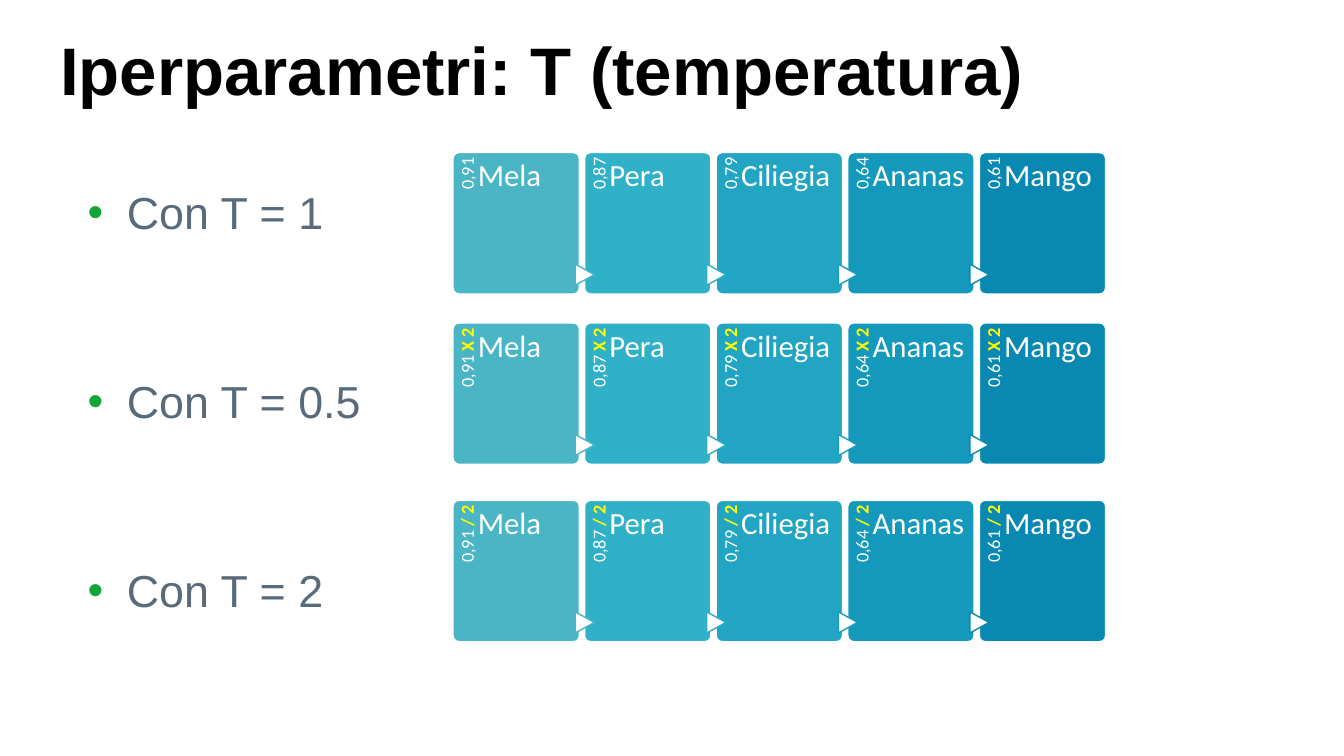
from dataclasses import dataclass

import pptx
import pptx.dml.color
import pptx.enum.shapes
import pptx.enum.text
import pptx.util
from lxml import etree
from pptx.util import Inches

SHAPE = pptx.enum.shapes.MSO_SHAPE
ALIGN = pptx.enum.text.PP_ALIGN
ANCHOR = pptx.enum.text.MSO_ANCHOR
DRAWING_NS = "{http://schemas.openxmlformats.org/drawingml/2006/main}"


@dataclass(frozen=True)
class Theme:
    heading_font: str = "Arial"
    card_font: str = "Calibri"
    title_size: int = 48
    bullet_size: int = 32
    fruit_size: int = 22
    score_size: int = 13
    black: str = "000000"
    white: str = "FFFFFF"
    slate: str = "596B7B"
    green: str = "13A538"
    yellow: str = "FFFF00"


THEME = Theme()

# Fruit, score, card colour, outline of the arrow leading to the card
FRUITS = [
    ("Mela", "0,91", "4AB5C4", None),
    ("Pera", "0,87", "31B1C8", "4AB5C4"),
    ("Ciliegia", "0,79", "22A5C2", "2CADC6"),
    ("Ananas", "0,64", "1498BB", "189DBE"),
    ("Mango", "0,61", "0989B1", "0989B1"),
]
# Bullet, factor applied to the scores, top of the card row
TEMPERATURES = [
    ("Con T = 1", "", 1.51),
    ("Con T = 0.5", "X 2", 3.2),
    ("Con T = 2", "/ 2", 4.96),
]
ROW_LEFT, CARD_PITCH = 4.49, 1.305
CARD_WIDTH, CARD_HEIGHT = 1.26, 1.41


def rgb(colour):
    return pptx.dml.color.RGBColor.from_string(colour)


def style(font, name, size, colour, bold=False):
    font.name = name
    font.size = pptx.util.Pt(size)
    font.color.rgb = rgb(colour)
    font.bold = bold


def add_text_area(shapes, left, top, width, height, insets=(0.1, 0.05, 0.1, 0.05)):
    """Add a wrapping text box; insets run left, top, right, bottom."""
    area = shapes.add_textbox(Inches(left), Inches(top), Inches(width), Inches(height))
    frame = area.text_frame
    frame.word_wrap = True
    frame.margin_left, frame.margin_top, frame.margin_right, frame.margin_bottom = map(Inches, insets)
    return area


def add_outlined(shapes, kind, left, top, width, height, fill, line, line_width):
    outlined = shapes.add_shape(kind, Inches(left), Inches(top), Inches(width), Inches(height))
    outlined.shadow.inherit = False
    outlined.fill.solid()
    outlined.fill.fore_color.rgb = rgb(fill)
    outlined.line.color.rgb = rgb(line)
    outlined.line.width = pptx.util.Pt(line_width)
    return outlined


def add_title(shapes, text):
    frame = add_text_area(shapes, 0.5, 0.49, 12.35, 0.65).text_frame
    frame.vertical_anchor = ANCHOR.MIDDLE
    title = frame.paragraphs[0]
    title.text = text
    title.line_spacing = pptx.util.Pt(38)
    style(title.font, THEME.heading_font, THEME.title_size, THEME.black, bold=True)


def add_bullet_mark(paragraph):
    properties = paragraph._p.get_or_add_pPr()
    properties.set("marL", str(Inches(0.39)))
    properties.set("indent", str(Inches(-0.39)))
    colour = etree.SubElement(properties, DRAWING_NS + "buClr")
    etree.SubElement(colour, DRAWING_NS + "srgbClr", val=THEME.green)
    etree.SubElement(properties, DRAWING_NS + "buFont", typeface=THEME.heading_font)
    etree.SubElement(properties, DRAWING_NS + "buChar", char="•")


def add_bullets(shapes, labels):
    frame = add_text_area(shapes, 0.77, 1.8, 11.5, 4.5, (0.1, 0.09, 0.1, 0.05)).text_frame
    for index, label in enumerate(labels):
        bullet = frame.add_paragraph() if index else frame.paragraphs[0]
        bullet.text = label
        add_bullet_mark(bullet)
        bullet.line_spacing = 0.9
        if index:
            bullet.space_before = pptx.util.Pt(100.5)
        style(bullet.font, THEME.heading_font, THEME.bullet_size, THEME.slate)


def add_score(shapes, left, top, score, factor):
    """Add the score that reads upwards, followed by its factor in yellow."""
    area = add_text_area(shapes, left, top, 1.16, 0.25, (0, 0.05, 0.06, 0))
    area.rotation = 270
    paragraph = area.text_frame.paragraphs[0]
    paragraph.alignment = ALIGN.RIGHT
    paragraph.line_spacing = 0.9
    style(paragraph.font, THEME.card_font, THEME.score_size, THEME.white)
    paragraph.add_run().text = f"{score} " if factor else score
    if factor:
        emphasis = paragraph.add_run()
        emphasis.text = factor
        emphasis.font.bold = True
        emphasis.font.color.rgb = rgb(THEME.yellow)


def add_fruit_name(shapes, left, top, name):
    area = add_text_area(shapes, left, top, 0.94, CARD_HEIGHT, (0, 0.08, 0, 0))
    paragraph = area.text_frame.paragraphs[0]
    paragraph.text = name
    paragraph.line_spacing = 0.9
    style(paragraph.font, THEME.card_font, THEME.fruit_size, THEME.white)


def add_fruit_row(shapes, top, factor):
    row = shapes.add_group_shape().shapes
    for index, (name, score, colour, arrow_line) in enumerate(FRUITS):
        left = ROW_LEFT + index * CARD_PITCH
        card = add_outlined(row, SHAPE.ROUNDED_RECTANGLE, left, top,
                            CARD_WIDTH, CARD_HEIGHT, colour, THEME.white, 1.5)
        card.adjustments[0] = 0.05
        add_score(row, left - 0.45, top + 0.45, score, factor)
        if arrow_line:
            arrow = add_outlined(row, SHAPE.FLOWCHART_EXTRACT, left - 0.1, top + 1.12,
                                 0.21, 0.19, THEME.white, arrow_line, 1)
            arrow.rotation = 90
        add_fruit_name(row, left + 0.25, top, name)


def main():
    presentation = pptx.Presentation()
    presentation.slide_width = Inches(13.33)
    presentation.slide_height = Inches(7.5)
    shapes = presentation.slides.add_slide(presentation.slide_layouts[6]).shapes
    add_bullets(shapes, [label for label, _, _ in TEMPERATURES])
    for _, factor, top in TEMPERATURES:
        add_fruit_row(shapes, top, factor)
    add_title(shapes, "Iperparametri: T (temperatura)")
    presentation.save("out.pptx")


if __name__ == "__main__":
    main()
